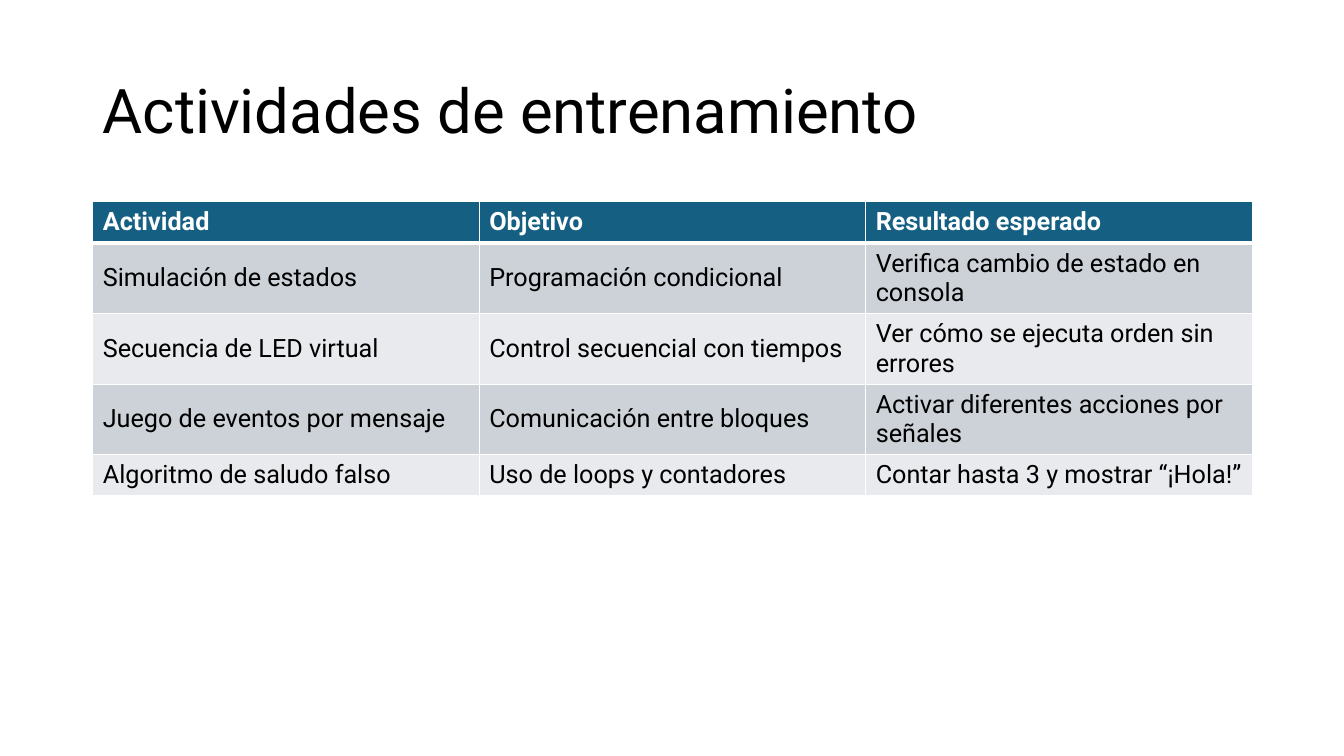
from typing import NamedTuple

from lxml import etree
from pptx import Presentation
from pptx.dml.color import RGBColor
from pptx.enum.text import MSO_ANCHOR
from pptx.oxml.ns import qn
from pptx.util import Inches, Pt

MIDDLE = MSO_ANCHOR.MIDDLE
FONT = "Roboto"
COLORS = {
    "text": "000000",
    "header_text": "FFFFFF",
    "header": "156082",
    "odd_row": "CCD2D8",
    "even_row": "E8EAED",
    "border": "FFFFFF",
}
LEFT, WIDTH = Inches(0.92), Inches(11.5)
TABLE_TOP, TABLE_HEIGHT = Inches(2), Inches(2.91)
ROW_HEIGHT = Inches(0.41)
THIN, THICK = Pt(1), Pt(3)


class Activity(NamedTuple):
    name: str
    goal: str
    result: str


HEADINGS = Activity("Actividad", "Objetivo", "Resultado esperado")
ACTIVITIES = [
    Activity("Simulación de estados", "Programación condicional",
             "Verifica cambio de estado en consola"),
    Activity("Secuencia de LED virtual", "Control secuencial con tiempos",
             "Ver cómo se ejecuta orden sin errores"),
    Activity("Juego de eventos por mensaje", "Comunicación entre bloques",
             "Activar diferentes acciones por señales"),
    Activity("Algoritmo de saludo falso", "Uso de loops y contadores",
             "Contar hasta 3 y mostrar “¡Hola!”"),
]


def format_text(paragraph, size: int, color: str, bold: bool = False) -> None:
    for run in paragraph.runs:
        run.font.name = FONT
        run.font.size = Pt(size)
        run.font.bold = bold
        run.font.color.rgb = RGBColor.from_string(COLORS[color])


def add_borders(cell, top: int, bottom: int) -> None:
    """Draw the cell's four borders; the lines must precede its fill in the XML."""
    properties = cell._tc.get_or_add_tcPr()
    widths = {"a:lnL": THIN, "a:lnR": THIN, "a:lnT": top, "a:lnB": bottom}
    for position, (tag, width) in enumerate(widths.items()):
        line = etree.Element(qn(tag), w=str(int(width)))
        fill = etree.SubElement(line, qn("a:solidFill"))
        etree.SubElement(fill, qn("a:srgbClr"), val=COLORS["border"])
        properties.insert(position, line)


def add_title(slide, title: str) -> None:
    box = slide.shapes.add_textbox(LEFT, Inches(0.4), WIDTH, Inches(1.45))
    frame = box.text_frame
    frame.word_wrap = True
    frame.vertical_anchor = MIDDLE
    frame.text = title
    frame.paragraphs[0].line_spacing = 0.9
    format_text(frame.paragraphs[0], 44, "text")


def fill_cell(cell, text: str, row: int) -> None:
    is_header = row == 0
    background = "header" if is_header else "odd_row" if row % 2 else "even_row"
    cell.text_frame.text = text
    cell.vertical_anchor = MIDDLE
    format_text(cell.text_frame.paragraphs[0], 18,
                "header_text" if is_header else "text", is_header)
    cell.fill.solid()
    cell.fill.fore_color.rgb = RGBColor.from_string(COLORS[background])
    add_borders(cell, THICK if row == 1 else THIN, THICK if is_header else THIN)


def add_activity_table(slide, rows: list[Activity]) -> None:
    frame = slide.shapes.add_table(len(rows), len(HEADINGS), LEFT, TABLE_TOP,
                                   WIDTH, TABLE_HEIGHT)
    for row, activity in enumerate(rows):
        frame.table.rows[row].height = ROW_HEIGHT
        for column, text in enumerate(activity):
            fill_cell(frame.table.cell(row, column), text, row)
    frame.height = TABLE_HEIGHT


def main() -> None:
    presentation = Presentation()
    presentation.slide_width = Inches(13.33)
    presentation.slide_height = Inches(7.5)
    slide = presentation.slides.add_slide(presentation.slide_layouts[6])
    add_title(slide, "Actividades de entrenamiento")
    add_activity_table(slide, [HEADINGS, *ACTIVITIES])
    presentation.save("out.pptx")


if __name__ == "__main__":
    main()
